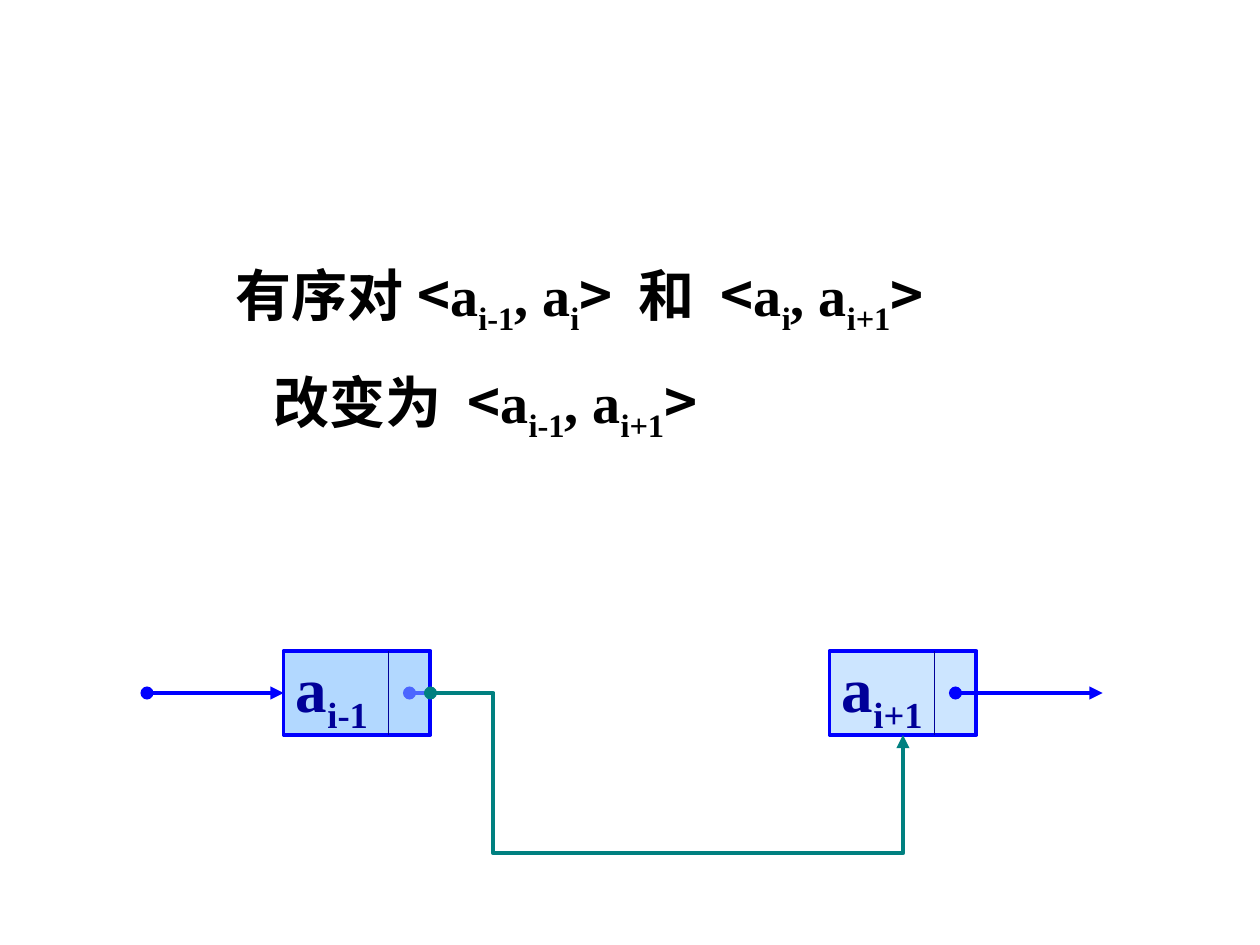
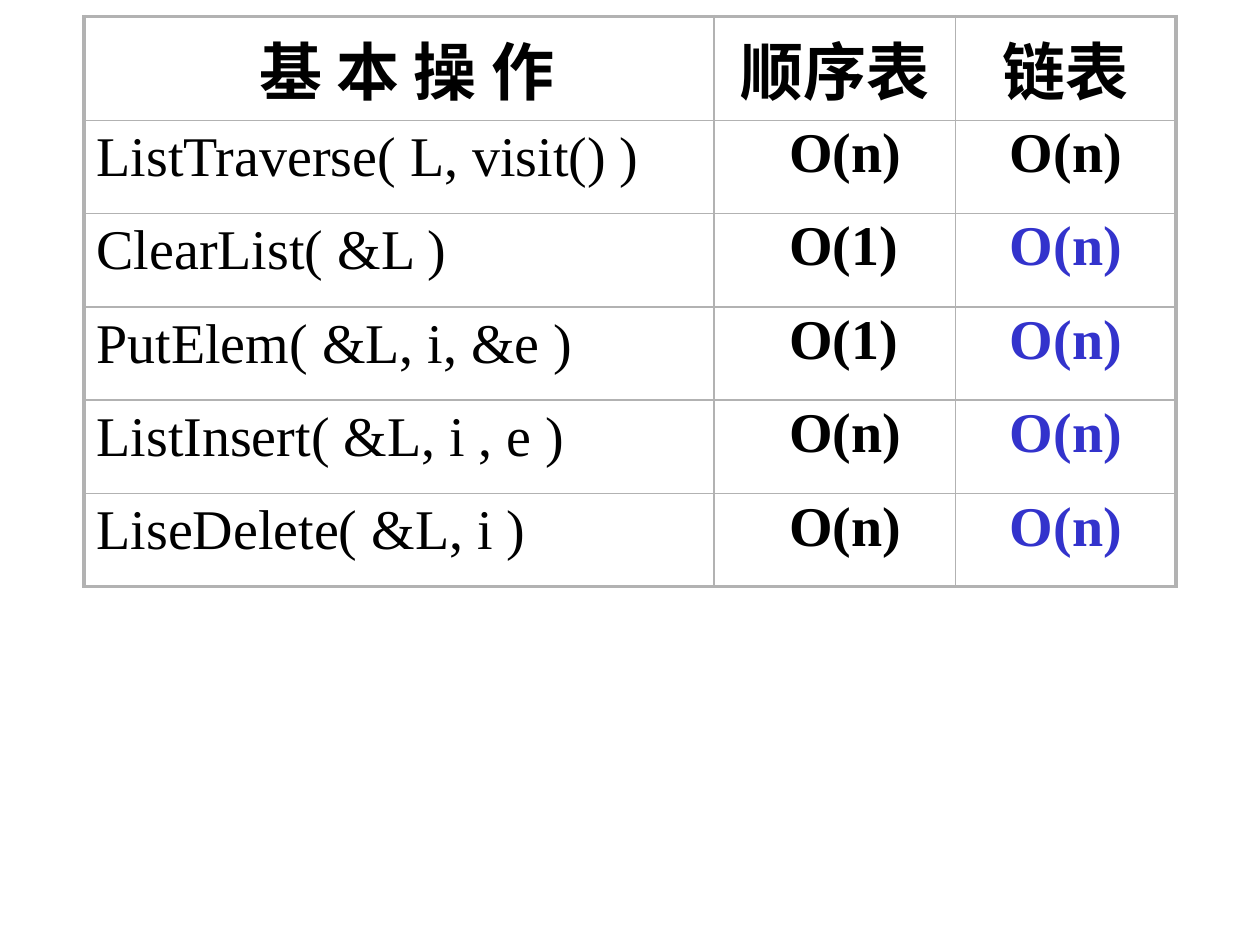
"""Build two slides on linked lists: deleting a node, and costs by list type."""
import dataclasses

import pptx
import pptx.dml.color
import pptx.enum.shapes
import pptx.enum.text
import pptx.oxml
import pptx.oxml.ns
import pptx.util

Pt = pptx.util.Pt
qn = pptx.oxml.ns.qn
LINE = pptx.enum.shapes.MSO_CONNECTOR


@dataclasses.dataclass(frozen=True)
class Theme:
    """Colours, fonts and sizes shared by the slides."""
    ink: str = "000000"
    navy: str = "000099"
    blue: str = "0000FF"
    pale: str = "CCE5FF"
    sky: str = "B2D8FF"
    faded: str = "4C66FF"
    teal: str = "008080"
    mark: str = "3333CC"
    grid: str = "B2B2B2"
    latin: str = "Times New Roman"
    asian: str = "Noto Sans CJK SC"
    body: int = 32
    large: int = 36
    arrow: float = 2.5
    edge: float = 2.25
    hair: float = 0.75


THEME = Theme()
NODE_W, NODE_H, NODE_TOP = 84, 48, 372
MID = NODE_TOP + NODE_H / 2
OPS = [
    ("ListTraverse( L, visit() )", "O(n)", "O(n)", THEME.ink),
    ("ClearList( &L )", "O(1)", "O(n)", THEME.mark),
    ("PutElem( &L, i, &e )", "O(1)", "O(n)", THEME.mark),
    ("ListInsert( &L, i , e )", "O(n)", "O(n)", THEME.mark),
    ("LiseDelete( &L, i )", "O(n)", "O(n)", THEME.mark),
]


def rgb(code):
    """Turn a hex code into a colour."""
    return pptx.dml.color.RGBColor.from_string(code)


def add_part(parent, tag, **attrs):
    """Append a drawing element with the given attributes."""
    part = pptx.oxml.parse_xml(f'<a:{tag} {pptx.oxml.ns.nsdecls("a")}/>')
    for key, value in attrs.items():
        part.set(key, str(value))
    parent.append(part)
    return part


def style_run(run, size, color=THEME.ink, bold=True, face=THEME.latin):
    """Set the font of a run, with the Asian face for Chinese."""
    font = run.font
    font.size, font.bold, font.name = Pt(size), bold, face
    font.color.rgb = rgb(color)
    add_part(font._element, "ea", typeface=THEME.asian)


def write_terms(para, source, size, color=THEME.ink):
    """Write pieces split by bars; an underscore marks a subscript."""
    for piece in source.split("|"):
        run = para.add_run()
        run.text = piece.lstrip("_")
        face = THEME.asian if set(piece) & set("<>") else THEME.latin
        style_run(run, size, color, face=face)
        if piece.startswith("_"):
            run.font._element.set("baseline", "-25000")


def add_box(slide, left, top, width, height):
    """Add a wrapping text box and return its frame."""
    box = slide.shapes.add_textbox(Pt(left), Pt(top), Pt(width), Pt(height))
    frame = box.text_frame
    frame.word_wrap = True
    frame.auto_size = pptx.enum.text.MSO_AUTO_SIZE.SHAPE_TO_FIT_TEXT
    return frame


def add_line(slide, start, end, color, width, head=None, tail=None, kind=LINE.STRAIGHT):
    """Add a connector without shadow, with optional ends."""
    line = slide.shapes.add_connector(kind, *map(Pt, start + end))
    line.line.color.rgb = rgb(color)
    line.line.width = Pt(width)
    props = line._element.spPr
    outline = props.find(qn("a:ln"))
    for tag, shape in (("headEnd", head), ("tailEnd", tail)):
        if shape:
            add_part(outline, tag, type=shape)
    add_part(props, "effectLst")
    return line


def add_node(slide, left, label, fill):
    """Add a list node with its label and the rule before its link field."""
    node = slide.shapes.add_shape(
        pptx.enum.shapes.MSO_SHAPE.RECTANGLE,
        Pt(left), Pt(NODE_TOP), Pt(NODE_W), Pt(NODE_H))
    node.shadow.inherit = False
    node.fill.solid()
    node.fill.fore_color.rgb = rgb(fill)
    node.line.color.rgb = rgb(THEME.blue)
    node.line.width = Pt(THEME.edge)
    frame = node.text_frame
    frame.vertical_anchor = pptx.enum.text.MSO_ANCHOR.MIDDLE
    para = frame.paragraphs[0]
    para.alignment = pptx.enum.text.PP_ALIGN.LEFT
    write_terms(para, label, THEME.large, THEME.navy)
    rule = left + 60
    add_line(slide, (rule, NODE_TOP), (rule, NODE_TOP + NODE_H), THEME.navy, THEME.hair)
    return node


def add_bypass(slide, prev, after):
    """Link one node to another by a path that dips below both."""
    line = add_line(slide, (0, 0), (0, 0), THEME.teal, THEME.arrow,
                    "oval", "triangle", LINE.ELBOW)
    line.begin_connect(prev, 3)
    line.end_connect(after, 2)
    shape = line._element.spPr.find(qn("a:prstGeom"))
    shape.set("prst", "bentConnector4")
    bends = (Pt(36) / line.width, Pt(91.5) / line.height)
    for index, bend in enumerate(bends, 1):
        add_part(shape.find(qn("a:avLst")), "gd", name=f"adj{index}",
                 fmla=f"val {round(bend * 100000)}")


def draw_delete(slide):
    """Show how the links change when a node is deleted."""
    frame = add_box(slide, 127.5, 128, 475, 114.5)
    first, second = frame.paragraphs[0], frame.add_paragraph()
    write_terms(first, "有序对<|a|_i-1|, a|_i|> 和 <|a|_i|, a|_i+1|>", THEME.body)
    write_terms(second, "改变为 <|a|_i-1|, a|_i+1|>", THEME.body)
    second._p.get_or_add_pPr().set("marL", str(Pt(21.5)))
    for para in (first, second):
        para.line_spacing = 1.4
    prev = add_node(slide, 162, "a|_i-1", THEME.sky)
    after = add_node(slide, 474, "a|_i+1", THEME.pale)
    entry = add_line(slide, (84, MID), (162, MID), THEME.blue, THEME.arrow, "oval", "triangle")
    entry.end_connect(prev, 1)
    stub = add_line(slide, (234, MID), (246, MID), THEME.faded, THEME.arrow, "oval")
    stub.end_connect(prev, 3)
    add_line(slide, (546, MID), (630, MID), THEME.blue, THEME.arrow, "oval", "triangle")
    add_bypass(slide, prev, after)


def rule_cell(cell, outer):
    """Give a cell grey borders, thick on the outer sides, and no fill."""
    props = cell._tc.get_or_add_tcPr()
    for side in "LRTB":
        width = THEME.edge if side in outer else 1
        border = add_part(props, f"ln{side}", w=Pt(width))
        add_part(add_part(border, "solidFill"), "srgbClr", val=THEME.grid)
    cell.fill.background()


def fill_cell(cell, text, size, bold, align):
    """Write one styled line into a cell."""
    para = cell.text_frame.paragraphs[0]
    para.text = text
    para.alignment = align
    style_run(para.runs[0], size, bold=bold)


def add_grid(slide):
    """Add the table of list operations."""
    rows, cols = len(OPS) + 1, 3
    table = slide.shapes.add_table(rows, cols, Pt(48), Pt(9.4), Pt(624), Pt(316.9)).table
    table.first_row = table.horz_banding = False
    for col, width in zip(table.columns, (360, 138, 126)):
        col.width = Pt(width)
    for index, row in enumerate(table.rows):
        row.height = Pt(53.3 if index else 50.4)
        for place, cell in enumerate(row.cells):
            edges = {"L": place == 0, "R": place == cols - 1,
                     "T": index == 0, "B": index == rows - 1}
            rule_cell(cell, [side for side, on in edges.items() if on])
    align = pptx.enum.text.PP_ALIGN
    for place, text in enumerate(("基 本 操 作", "顺序表", "链表")):
        fill_cell(table.cell(0, place), text, THEME.large, True, align.CENTER)
    table.cell(0, 0).margin_left = Pt(16.2)
    for index, (name, *_) in enumerate(OPS, 1):
        fill_cell(table.cell(index, 0), name, THEME.body, False, align.LEFT)


def add_cost(slide, left, top, text, color):
    """Place one cost over the table."""
    frame = add_box(slide, left, top, 84, 45.5)
    frame.text = text
    style_run(frame.paragraphs[0].runs[0], THEME.body, color)


def draw_costs(slide):
    """Compare the cost of operations on both kinds of list."""
    add_grid(slide)
    for index, (_, array, linked, color) in enumerate(OPS):
        top = 63 + 53.4 * index
        add_cost(slide, 444, top, array, THEME.ink)
        add_cost(slide, 570, top, linked, color)


def main():
    """Build and save the deck."""
    deck = pptx.Presentation()
    deck.slide_width, deck.slide_height = Pt(720), Pt(540)
    blank = deck.slide_layouts[6]
    for draw in (draw_delete, draw_costs):
        draw(deck.slides.add_slide(blank))
    deck.save("out.pptx")


if __name__ == "__main__":
    main()
